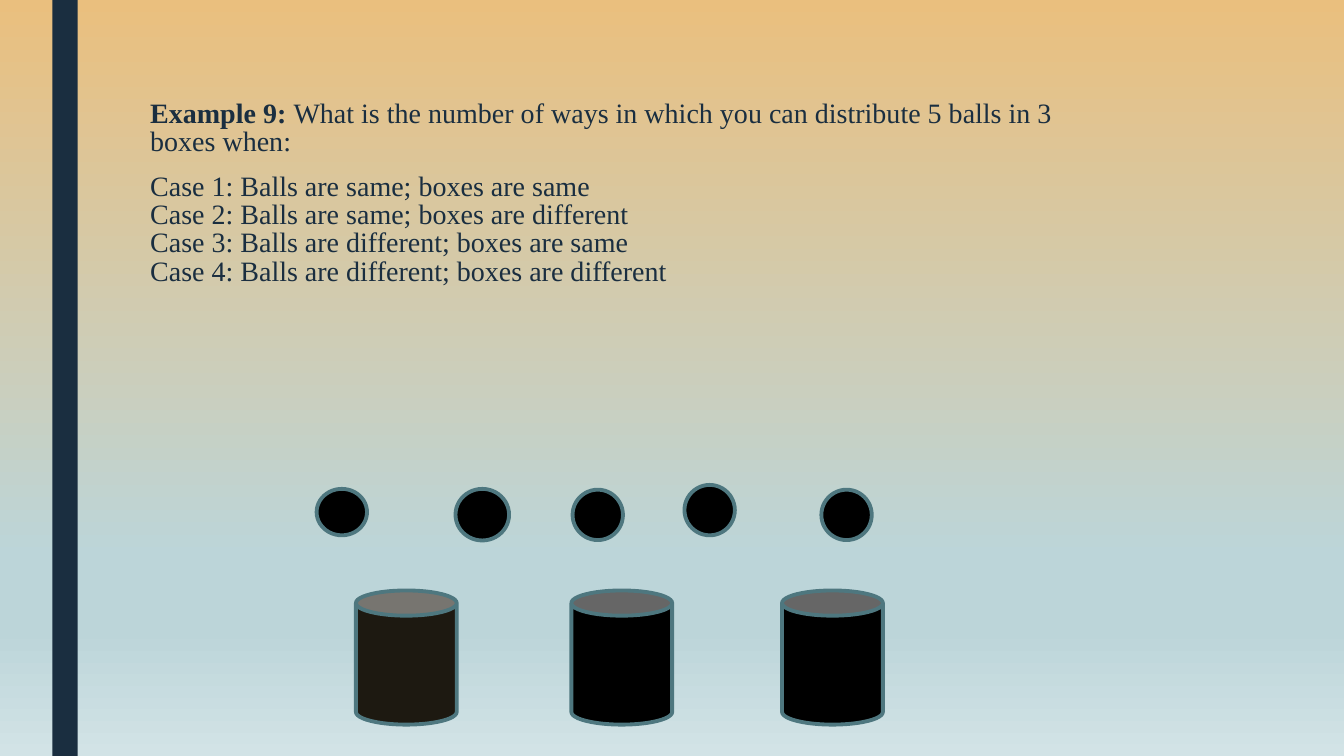
from lxml import etree
from pptx import Presentation
from pptx.dml.color import RGBColor
from pptx.enum.shapes import MSO_SHAPE
from pptx.enum.text import MSO_ANCHOR, MSO_AUTO_SIZE, PP_ALIGN
from pptx.oxml.ns import qn
from pptx.util import Cm, Pt

BAR = MSO_SHAPE.RECTANGLE
BALL = MSO_SHAPE.FLOWCHART_CONNECTOR
CAN = MSO_SHAPE.CAN
TOP = MSO_ANCHOR.TOP
NO_AUTOFIT = MSO_AUTO_SIZE.NONE
LEFT = PP_ALIGN.LEFT

NAVY, TEAL, BLACK, BROWN = "1A2E40", "4E777F", "000000", "1D1911"
BACKGROUND_STOPS = [(0, "EABF7E"), (74, "BCD5D9"), (83, "BCD5D9"), (100, "D2E3E6")]

QUESTION = [
    ("Example 9: ", True),
    ("What is the number of ways in which you can distribute 5 balls in 3 boxes when:", False),
]
CASES = [
    "Case 1: Balls are same; boxes are same",
    "Case 2: Balls are same; boxes are different",
    "Case 3: Balls are different; boxes are same",
    "Case 4: Balls are different; boxes are different",
]

# left, top, width, height in centimetres
BALLS = [
    (7.98, 12.32, 1.27, 1.17),
    (11.48, 12.32, 1.35, 1.3),
    (14.43, 12.34, 1.27, 1.27),
    (17.25, 12.22, 1.27, 1.27),
    (20.7, 12.34, 1.27, 1.27),
]
CANS = [(8.97, BROWN), (14.4, BLACK), (19.71, BLACK)]


def color(value):
    return RGBColor.from_string(value)


class SlideBuilder:
    font_name = "Times New Roman"
    font_size = Pt(20)
    line_width = Pt(2.75)

    def __init__(self, deck):
        self.page = deck.slides.add_slide(deck.slide_layouts[1])
        title = self.page.shapes.title
        title.element.getparent().remove(title.element)

    def background(self, stops):
        fill = self.page.background.fill
        fill.gradient()
        fill.gradient_angle = 270
        stop_list = next(self.page.element.iter(qn("a:gsLst")))
        for stop in list(stop_list):
            stop_list.remove(stop)
        for percent, value in stops:
            stop = etree.SubElement(stop_list, qn("a:gs"), pos=str(percent * 1000))
            etree.SubElement(stop, qn("a:srgbClr"), val=value)

    def shape(self, kind, bounds, fill, line=None, parent=None):
        shapes = (parent or self.page).shapes
        shape = shapes.add_shape(kind, *(Cm(length) for length in bounds))
        shape.shadow.inherit = False
        shape.fill.solid()
        shape.fill.fore_color.rgb = color(fill)
        if line:
            shape.line.color.rgb = color(line)
            shape.line.width = self.line_width
        else:
            shape.line.fill.background()

    def group(self):
        return self.page.shapes.add_group_shape()

    def body(self, bounds):
        box = self.page.placeholders[1]
        box.left, box.top, box.width, box.height = (Cm(length) for length in bounds)
        frame = box.text_frame
        frame.word_wrap = True
        frame.auto_size = NO_AUTOFIT
        frame.vertical_anchor = TOP
        return frame

    def format_paragraph(self, paragraph, space_before):
        properties = paragraph._p.get_or_add_pPr()
        properties.set("marL", "0")
        properties.set("indent", "0")
        etree.SubElement(properties, qn("a:buNone"))
        paragraph.alignment = LEFT
        paragraph.line_spacing = 0.84
        paragraph.space_before = Pt(space_before)
        paragraph.space_after = Pt(2)
        paragraph.font.name = self.font_name
        paragraph.font.size = self.font_size
        paragraph.font.color.rgb = color(NAVY)


def main():
    deck = Presentation()
    deck.slide_width, deck.slide_height = Cm(33.87), Cm(19.05)
    builder = SlideBuilder(deck)
    builder.background(BACKGROUND_STOPS)
    builder.shape(BAR, (1.32, 0, 0.64, 19.05), NAVY)

    frame = builder.body((3.53, 2.41, 24.87, 5.11))
    question = frame.paragraphs[0]
    for text, bold in QUESTION:
        span = question.add_run()
        span.text = text
        span.font.bold = bold
    builder.format_paragraph(question, 0)
    cases = frame.add_paragraph()
    cases.text = "\n".join(CASES)
    builder.format_paragraph(cases, 10)

    balls = builder.group()
    for bounds in BALLS:
        builder.shape(BALL, bounds, BLACK, TEAL, balls)
    for left, fill in CANS:
        builder.shape(CAN, (left, 14.88, 2.54, 3.38), fill, TEAL)

    deck.save("out.pptx")


if __name__ == "__main__":
    main()
